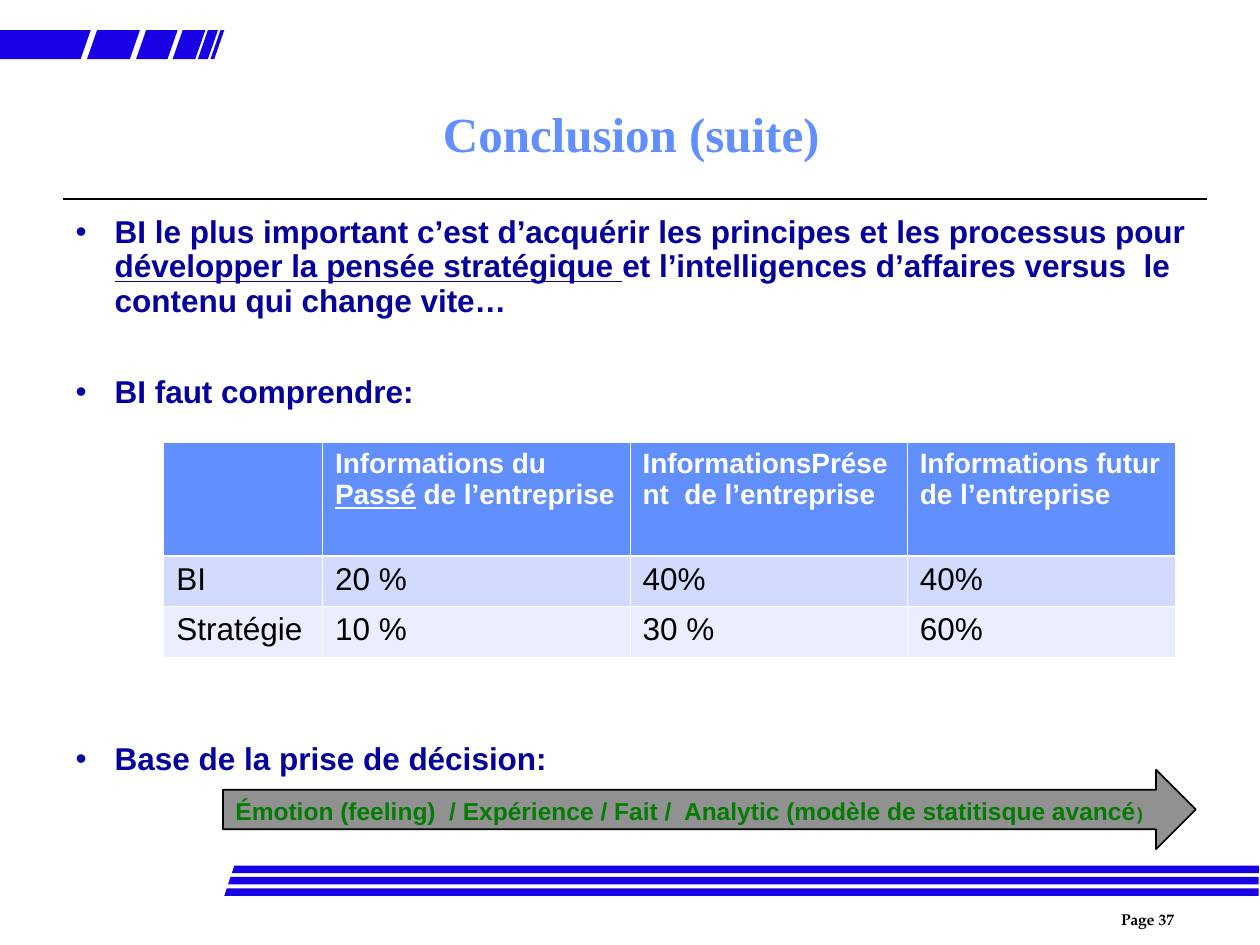
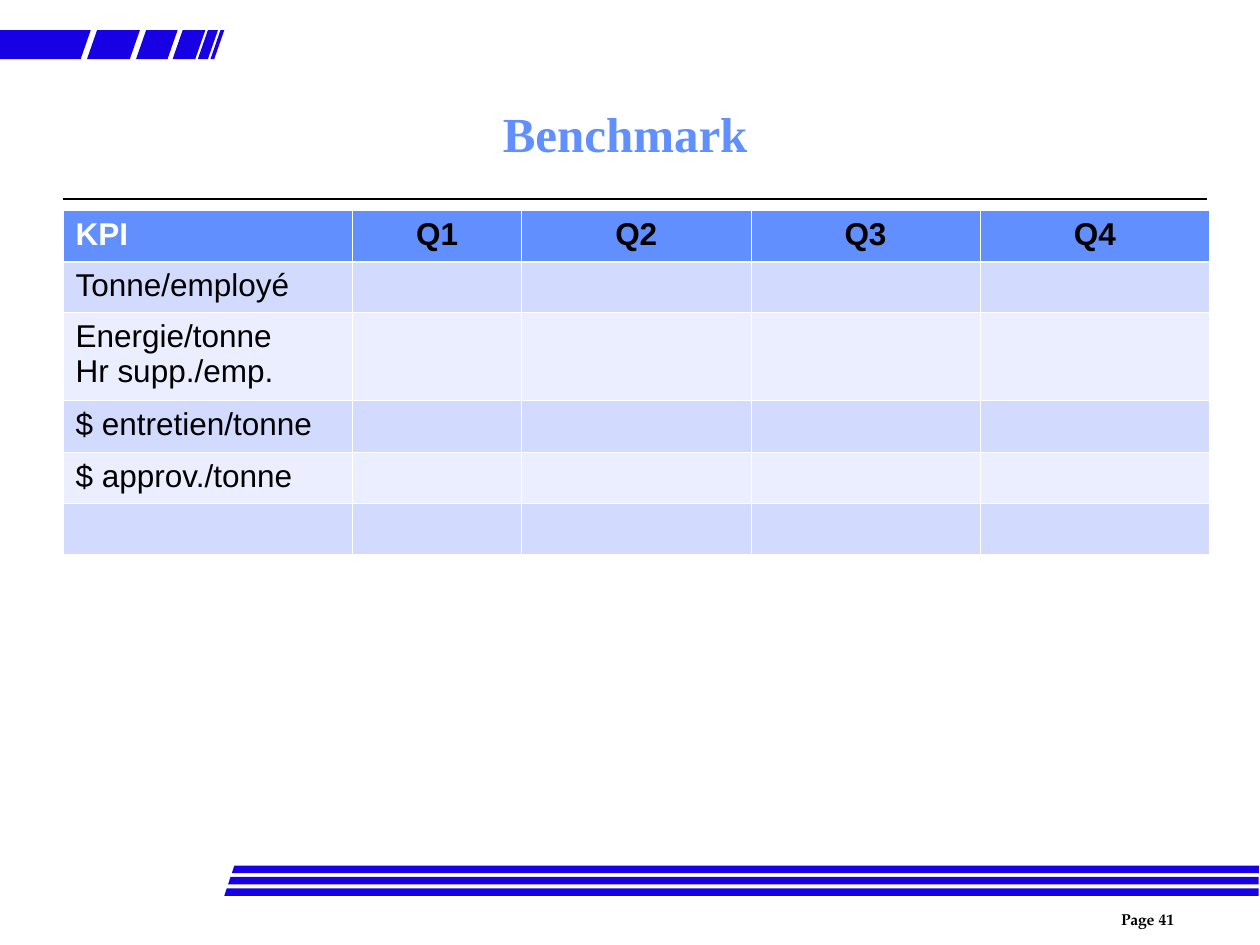
from dataclasses import dataclass

from lxml.etree import SubElement
from pptx import Presentation
from pptx.dml.color import RGBColor as RGB
from pptx.enum.shapes import MSO_CONNECTOR as Connector, MSO_SHAPE as Preset
from pptx.enum.text import MSO_ANCHOR as Anchor, MSO_AUTO_SIZE as AutoSize, PP_ALIGN as Align
from pptx.oxml.ns import qn
from pptx.util import Inches, Pt


@dataclass(frozen=True)
class Theme:
    band: str = "1800E4"
    accent: str = "618FFD"
    body: str = "06009C"
    row_dark: str = "D2DBFE"
    row_light: str = "EAEEFF"
    arrow: str = "919191"
    arrow_text: str = "037C03"
    black: str = "000000"
    white: str = "FFFFFF"
    sans: str = "Arial"
    serif: str = "Times New Roman"
    footer_font: str = "TeX Gyre Pagella"
    title_size: float = 28
    body_size: float = 18
    header_size: float = 16
    arrow_size: float = 14
    small_size: float = 10
    footer_size: float = 9
    thin: float = 0.45
    thick: float = 1.47


theme = Theme()


def write(frame, text, *, size=theme.body_size, color=theme.black, font=theme.sans, bold=False,
          align=Align.LEFT, leading=None, before=None, hang=None, continued=False):
    for line in text.split("\n"):
        paragraph = frame.paragraphs[-1]
        if paragraph.runs and not continued:
            paragraph = frame.add_paragraph()
        paragraph.alignment = align
        if leading:
            paragraph.line_spacing = leading
        if before:
            paragraph.space_before = Pt(before)
        if hang:
            properties = paragraph._p.get_or_add_pPr()
            properties.set("marL", str(Inches(hang)))
            properties.set("indent", str(-Inches(hang)))
        for position, piece in enumerate(line.split("_")):
            run = paragraph.add_run()
            run.text = piece
            run.font.size = Pt(size)
            run.font.name = font
            run.font.bold = bold
            run.font.underline = position % 2 == 1
            run.font.color.rgb = RGB.from_string(color)


def add_grid(slide, left, top, widths, heights, rows, header_size, header_style):
    table = slide.shapes.add_table(len(rows), len(widths), Inches(left), Inches(top),
                                   Inches(sum(widths)), Inches(sum(heights))).table
    for column, width in zip(table.columns, widths):
        column.width = Inches(width)
    for r, (height, texts) in enumerate(zip(heights, rows)):
        table.rows[r].height = Inches(height)
        for c, text in enumerate(texts):
            cell = table.cell(r, c)
            for side in "LRTB":
                thick = (r, side) in ((0, "B"), (1, "T"))
                border = SubElement(cell._tc.get_or_add_tcPr(), qn(f"a:ln{side}"),
                                    w=str(Pt(theme.thick if thick else theme.thin)))
                SubElement(SubElement(border, qn("a:solidFill")), qn("a:srgbClr"), val=theme.white)
            fill = theme.accent if r == 0 else theme.row_dark if r % 2 else theme.row_light
            cell.fill.solid()
            cell.fill.fore_color.rgb = RGB.from_string(fill)
            if text and r == 0:
                write(cell.text_frame, text, size=header_size, bold=True, **header_style(c))
            elif text:
                write(cell.text_frame, text)


deck = Presentation()
deck.slide_width, deck.slide_height = Inches(10), Inches(7.5)
conclusion = deck.slides.add_slide(deck.slide_layouts[1])
benchmark = deck.slides.add_slide(deck.slide_layouts[5])

slant = 0.08
header_blocks = [(0, 0.72), (0.77, 1.11), (1.16, 1.41), (1.45, 1.63), (1.65, 1.73), (1.75, 1.78)]
bands = [[(left, 0.24), (right, 0.24), (right - slant, 0.47), (max(0, left - slant), 0.47)]
         for left, right in header_blocks]
for step in range(3):
    left, top = 1.78 + 0.03 * step, 7.05 - 0.09 * step
    bands.append([(left, top + 0.06), (9.99, top + 0.06), (9.99, top), (left + 0.02, top)])

for slide, heading, page in ((conclusion, "Conclusion (suite)", "Page 37"),
                             (benchmark, "Benchmark ", "Page 41")):
    rule = slide.shapes.add_connector(Connector.STRAIGHT, Inches(0.5), Inches(1.58),
                                      Inches(9.58), Inches(1.58))
    rule.line.width = Pt(1)
    rule.line.color.rgb = RGB.from_string(theme.black)
    SubElement(rule._element.spPr, qn("a:effectLst"))

    for corners in bands:
        start, *others = [(Inches(x), Inches(y)) for x, y in corners]
        outline = slide.shapes.build_freeform(*start)
        outline.add_line_segments(others, close=True)
        band = outline.convert_to_shape()
        band.shadow.inherit = False
        band.fill.solid()
        band.fill.fore_color.rgb = RGB.from_string(theme.band)
        band.line.fill.background()

    footer = slide.shapes.add_textbox(Inches(8.8), Inches(7.17), Inches(1.18), Inches(0.27))
    footer.text_frame.word_wrap = True
    write(footer.text_frame, page, size=theme.footer_size, font=theme.footer_font, bold=True)

    title = slide.shapes.title
    title.left, title.top, title.width, title.height = map(Inches, (0.47, 0.67, 9.08, 0.83))
    title.text_frame.auto_size = AutoSize.NONE
    title.text_frame.vertical_anchor = Anchor.MIDDLE
    write(title.text_frame, heading, size=theme.title_size, color=theme.accent,
          font=theme.serif, bold=True, align=Align.CENTER, leading=0.9)

points = conclusion.placeholders[1]
points.left, points.top, points.width, points.height = map(Inches, (0.5, 1.67, 9.08, 5.08))
points.text_frame.auto_size = AutoSize.NONE
for point, gap in (
    ("BI le plus important c’est d’acquérir les principes et les processus pour "
     "_développer la pensée stratégique _et l’intelligences d’affaires versus  le "
     "contenu qui change vite…", 6.8),
    ("BI faut comprendre:", 33),
    ("Base de la prise de décision:", 190),
):
    write(points.text_frame, point, color=theme.body, bold=True, leading=0.9, before=gap, hang=0.31)

add_grid(conclusion, 1.3, 3.51, [1.26, 2.44, 2.2, 2.13], [0.9, 0.4, 0.41], [
    ["", "Informations du _Passé_ de l’entreprise", "InformationsPrésent  de l’entreprise",
     "Informations futur de l’entreprise"],
    ["BI", "20 %", "40%", "40%"],
    ["Stratégie", "10 %", "30 %", "60%"],
], theme.header_size, lambda column: {"color": theme.white})

decision = conclusion.shapes.add_shape(Preset.RIGHT_ARROW, Inches(1.77), Inches(6.11),
                                       Inches(7.72), Inches(0.63))
decision.shadow.inherit = False
decision.fill.solid()
decision.fill.fore_color.rgb = RGB.from_string(theme.arrow)
decision.line.width = Pt(1)
decision.line.color.rgb = RGB.from_string(theme.black)
decision.text_frame.vertical_anchor = Anchor.TOP
write(decision.text_frame,
      "Émotion (feeling)  / Expérience / Fait /  Analytic (modèle de statitisque avancé",
      size=theme.arrow_size, color=theme.arrow_text, bold=True)
write(decision.text_frame, ")", size=theme.small_size, color=theme.arrow_text, bold=True,
      continued=True)

indicators = ["Tonne/employé", "Energie/tonne\nHr supp./emp.", "$ entretien/tonne",
              "$ approv./tonne", ""]
add_grid(benchmark, 0.5, 1.67, [2.3, 1.34, 1.82, 1.82, 1.82], [0.41, 0.4, 0.7, 0.41, 0.4, 0.41],
         [["KPI", "Q1", "Q2", "Q3", "Q4"]] + [[indicator] + [""] * 4 for indicator in indicators],
         theme.body_size,
         lambda column: {"color": theme.black, "align": Align.CENTER} if column
         else {"color": theme.white})

deck.save("out.pptx")
